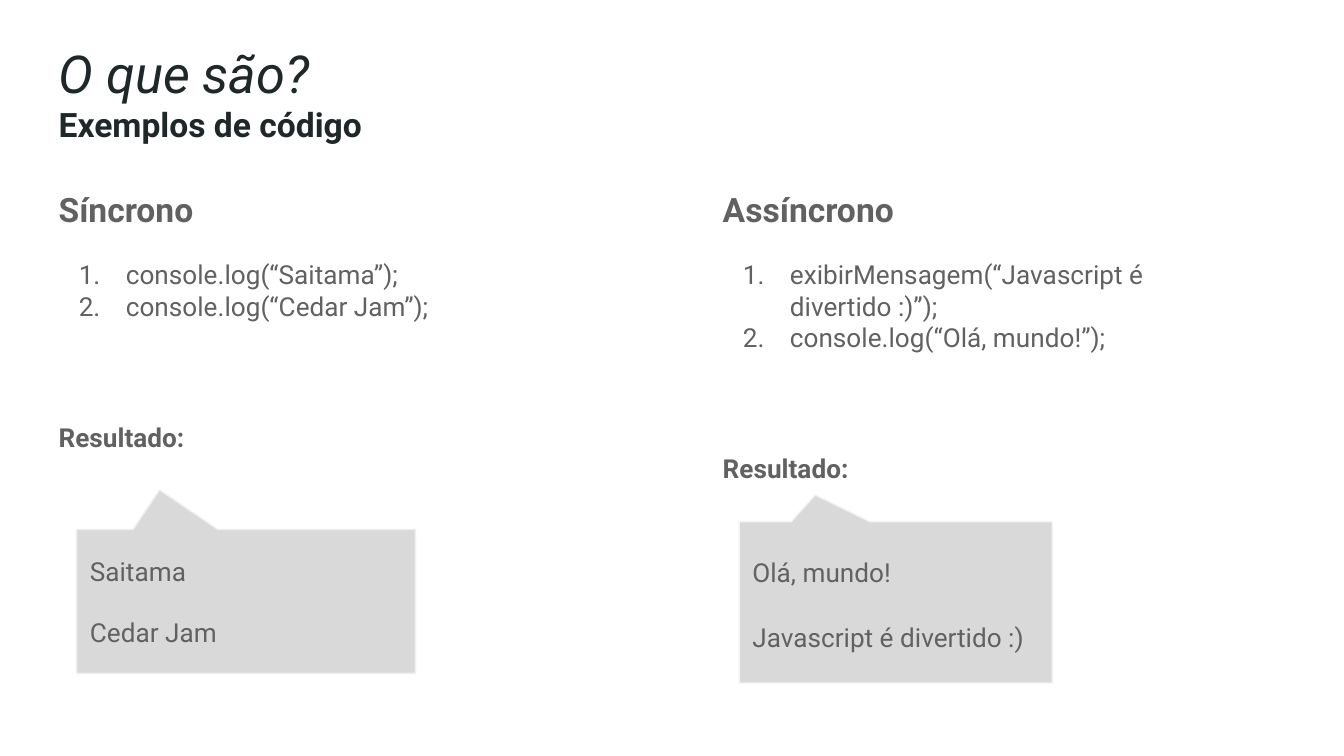
import pptx
import pptx.util
import pptx.dml.color
import pptx.enum.shapes
import pptx.enum.text
import pptx.oxml.ns
import lxml.etree

Cm, Pt = pptx.util.Cm, pptx.util.Pt
COLORS = {"page": "FFFFFF", "title": "202729", "text": "616161",
          "box": "D9D9D9", "edge": "EFEFEF", "pale": "F3F3F3"}


def rgb(name):
    return pptx.dml.color.RGBColor.from_string(COLORS[name])


class Deck:
    font = "Roboto"
    inset = Cm(0.25)

    def __init__(self, wide, high):
        self.prs = pptx.Presentation()
        self.prs.slide_width, self.prs.slide_height = Cm(wide), Cm(high)
        self.slide = self.prs.slides.add_slide(self.prs.slide_layouts[6])
        fill = self.slide.background.fill
        fill.solid()
        fill.fore_color.rgb = rgb("page")

    def frame(self, shape, anchor):
        body = shape.text_frame
        body.word_wrap = True
        body.vertical_anchor = anchor
        body.margin_left = body.margin_right = self.inset
        body.margin_top = body.margin_bottom = self.inset
        return body

    def box(self, left, top, wide, high):
        shape = self.slide.shapes.add_textbox(Cm(left), Cm(top), Cm(wide), Cm(high))
        return self.frame(shape, pptx.enum.text.MSO_ANCHOR.TOP)

    def bubble(self, left, top, wide, high, tip, edge):
        kind = pptx.enum.shapes.MSO_SHAPE.ROUNDED_RECTANGULAR_CALLOUT
        shape = self.slide.shapes.add_shape(kind, Cm(left), Cm(top), Cm(wide), Cm(high))
        for i, val in enumerate((*tip, 0)):
            shape.adjustments[i] = val
        shape.shadow.inherit = False
        shape.fill.solid()
        shape.fill.fore_color.rgb = rgb("box")
        shape.line.color.rgb = rgb(edge)
        shape.line.width = Pt(0.75)
        return self.frame(shape, pptx.enum.text.MSO_ANCHOR.MIDDLE)

    def para(self, body, text, size=14, color="text", bold=False, slant=False,
             before=0, after=0, space=1.0):
        first = body.paragraphs[0]
        para = body.add_paragraph() if first.runs else first
        para.alignment = pptx.enum.text.PP_ALIGN.LEFT
        para.space_before, para.space_after = Pt(before), Pt(after)
        para.line_spacing = space
        run = para.add_run()
        run.text = text
        font = run.font
        font.name, font.size = self.font, Pt(size)
        font.bold, font.italic = bold, slant
        font.color.rgb = rgb(color)
        return para

    def item(self, body, text, before=0):
        props = self.para(body, text, before=before)._p.get_or_add_pPr()
        props.set("marL", str(Cm(1.27)))
        props.set("indent", str(Cm(-0.89)))
        qn = pptx.oxml.ns.qn
        tint = lxml.etree.SubElement(props, qn("a:buClr"))
        lxml.etree.SubElement(tint, qn("a:srgbClr"), val=COLORS["text"])
        lxml.etree.SubElement(props, qn("a:buAutoNum"), type="arabicPeriod")


def main():
    deck = Deck(25.4, 14.29)

    # Title
    head = deck.box(0.86, 0.53, 23.67, 2.72)
    deck.para(head, "O que são?", 28, "title", slant=True)
    deck.para(head, "Exemplos de código", 18, "title", bold=True)

    # Code columns
    cols = [
        (0.86, "Síncrono", ["console.log(“Saitama”);", "console.log(“Cedar Jam”);"]),
        (13.41, "Assíncrono", ["exibirMensagem(“Javascript é divertido :)”);",
                               "console.log(“Olá, mundo!”);"]),
    ]
    for left, name, code in cols:
        body = deck.box(left, 3.2, 11.1, 5.89)
        deck.para(body, name, 18, bold=True, space=1.15)
        for i, line in enumerate(code):
            deck.item(body, line, before=0 if i else 16)
        deck.para(body, "Resultado:", bold=True, before=51, after=16, space=1.15)

    # Result callouts
    outs = [
        ((1.45, 10.01, 6.4, 2.72), (-0.255, -0.775), "edge", 1.0,
         ("Saitama", "Cedar Jam")),
        ((13.97, 9.86, 5.92, 3.05), (-0.257, -0.665), "pale", 1.15,
         ("Olá, mundo!", "Javascript é divertido :)")),
    ]
    for place, tip, edge, space, (top, end) in outs:
        body = deck.bubble(*place, tip, edge)
        deck.para(body, top, space=space)
        deck.para(body, end, before=16, after=16, space=space)

    deck.prs.save("out.pptx")


if __name__ == "__main__":
    main()
